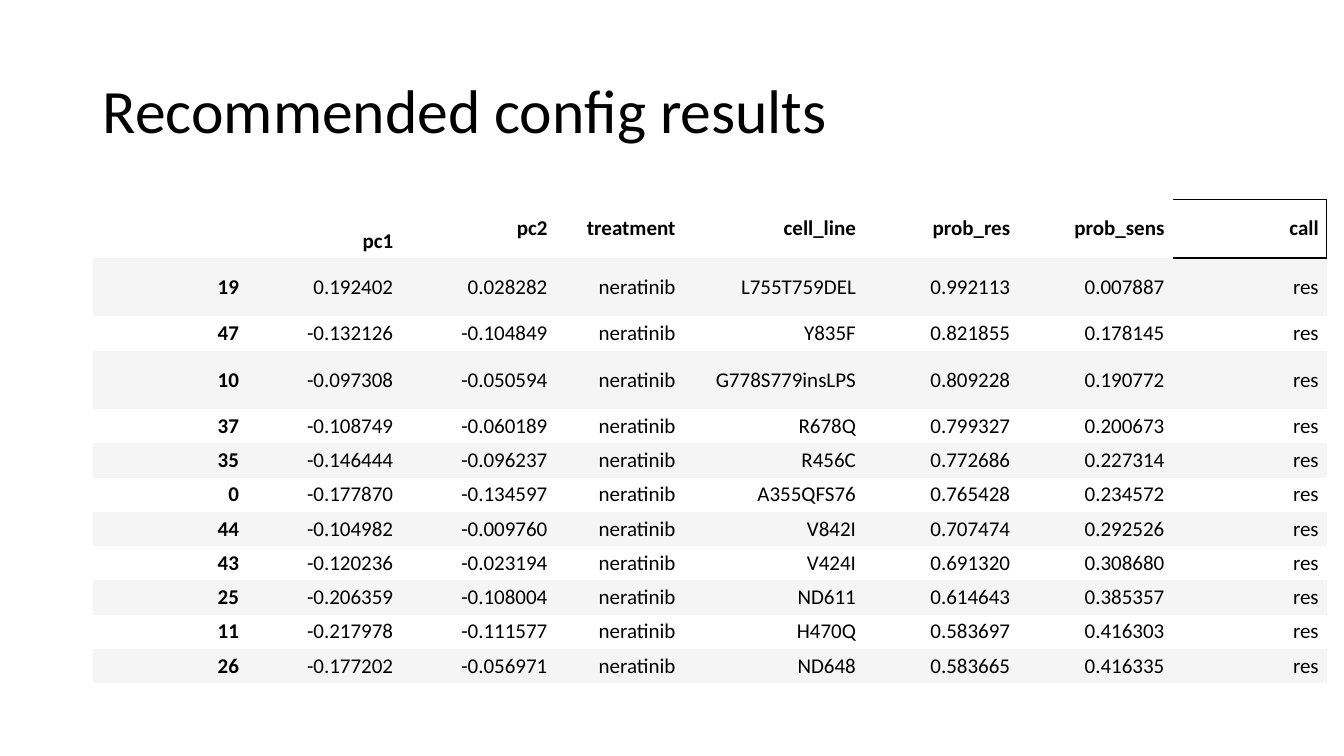
from lxml.etree import SubElement
from pptx import Presentation
from pptx.dml.color import RGBColor
from pptx.enum.text import MSO_ANCHOR, PP_ALIGN
from pptx.oxml.ns import qn
from pptx.util import Inches, Pt

TITLE = "Recommended config results"
HEADERS = ("", "pc1", "pc2", "treatment", "cell_line", "prob_res", "prob_sens", "call")
TREATMENT, CALL = "neratinib", "res"
# index, pc1, pc2, cell_line, prob_res, prob_sens
RESULTS = [
    ("19", "0.192402", "0.028282", "L755T759DEL", "0.992113", "0.007887"),
    ("47", "-0.132126", "-0.104849", "Y835F", "0.821855", "0.178145"),
    ("10", "-0.097308", "-0.050594", "G778S779insLPS", "0.809228", "0.190772"),
    ("37", "-0.108749", "-0.060189", "R678Q", "0.799327", "0.200673"),
    ("35", "-0.146444", "-0.096237", "R456C", "0.772686", "0.227314"),
    ("0", "-0.177870", "-0.134597", "A355QFS76", "0.765428", "0.234572"),
    ("44", "-0.104982", "-0.009760", "V842I", "0.707474", "0.292526"),
    ("43", "-0.120236", "-0.023194", "V424I", "0.691320", "0.308680"),
    ("25", "-0.206359", "-0.108004", "ND611", "0.614643", "0.385357"),
    ("11", "-0.217978", "-0.111577", "H470Q", "0.583697", "0.416303"),
    ("26", "-0.177202", "-0.056971", "ND648", "0.583665", "0.416335"),
]

BLACK = RGBColor(0x00, 0x00, 0x00)
BAND = RGBColor(0xF5, 0xF5, 0xF5)
FONT = "Calibri"
NO_STYLE = "{2D5ABB26-0587-4C30-8999-92F81FD0307C}"

LEFT, TABLE_TOP = 0.92, 1.98
COLUMN_WIDTH, WIDTHS = 1.53, {"treatment": 1.27, "cell_line": 1.79}
ROW_HEIGHT, TALL_HEIGHT, TALL_ROWS = 0.34, 0.58, (0, 1, 3)

TITLE_BOX = {"left": Inches(LEFT), "top": Inches(0.4),
             "width": Inches(11.5), "height": Inches(1.45)}
CELL_FORMAT = {"margin_left": Inches(0.08), "margin_right": Inches(0.08),
               "margin_top": Inches(0.04), "margin_bottom": Inches(0.04),
               "vertical_anchor": MSO_ANCHOR.MIDDLE}


def apply(target, values):
    for name, value in values.items():
        setattr(target, name, value)


def format_paragraph(paragraph, size, bold, alignment):
    paragraph.alignment = alignment
    apply(paragraph.font, {"name": FONT, "size": Pt(size), "bold": bold})
    paragraph.font.color.rgb = BLACK


def add_borders(cell, sides):
    properties = cell._tc.get_or_add_tcPr()
    for position, side in enumerate(sides):
        line = SubElement(properties, qn(f"a:ln{side}"), w=str(Pt(1)))
        fill = SubElement(line, qn("a:solidFill"))
        SubElement(fill, qn("a:srgbClr"), val=str(BLACK))
        properties.insert(position, line)


def add_title(slide):
    title = slide.shapes.title
    apply(title, TITLE_BOX)
    title.text_frame.text = TITLE
    title.text_frame.vertical_anchor = MSO_ANCHOR.MIDDLE
    paragraph = title.text_frame.paragraphs[0]
    paragraph.line_spacing = 0.9
    format_paragraph(paragraph, 44, False, PP_ALIGN.LEFT)


def add_results_table(slide):
    rows = [HEADERS] + [(index, pc1, pc2, TREATMENT, line, res, sens, CALL)
                        for index, pc1, pc2, line, res, sens in RESULTS]
    widths = [WIDTHS.get(header, COLUMN_WIDTH) for header in HEADERS]
    heights = [TALL_HEIGHT if number in TALL_ROWS else ROW_HEIGHT
               for number in range(len(rows))]
    frame = slide.shapes.add_table(len(rows), len(HEADERS), Inches(LEFT), Inches(TABLE_TOP),
                                   Inches(sum(widths)), Inches(sum(heights)))
    table = frame.table
    apply(table, {"first_row": False, "horz_banding": False})
    table._tbl.tblPr.find(qn("a:tableStyleId")).text = NO_STYLE
    for column, width in zip(table.columns, widths):
        column.width = Inches(width)
    for row, height in zip(table.rows, heights):
        row.height = Inches(height)

    for row_number, values in enumerate(rows):
        for column_number, value in enumerate(values):
            cell = table.cell(row_number, column_number)
            apply(cell, CELL_FORMAT)
            cell.text = value
            bold = row_number == 0 or column_number == 0
            format_paragraph(cell.text_frame.paragraphs[0], 15, bold, PP_ALIGN.RIGHT)
            if row_number % 2:
                cell.fill.solid()
                cell.fill.fore_color.rgb = BAND
            else:
                cell.fill.background()

    table.cell(0, HEADERS.index("pc1")).vertical_anchor = MSO_ANCHOR.BOTTOM
    add_borders(table.cell(0, HEADERS.index("call")), "RTB")


def main():
    presentation = Presentation()
    apply(presentation, {"slide_width": Inches(13.33), "slide_height": Inches(7.5)})
    slide = presentation.slides.add_slide(presentation.slide_layouts.get_by_name("Title Only"))
    add_title(slide)
    add_results_table(slide)
    presentation.save("out.pptx")


if __name__ == "__main__":
    main()
